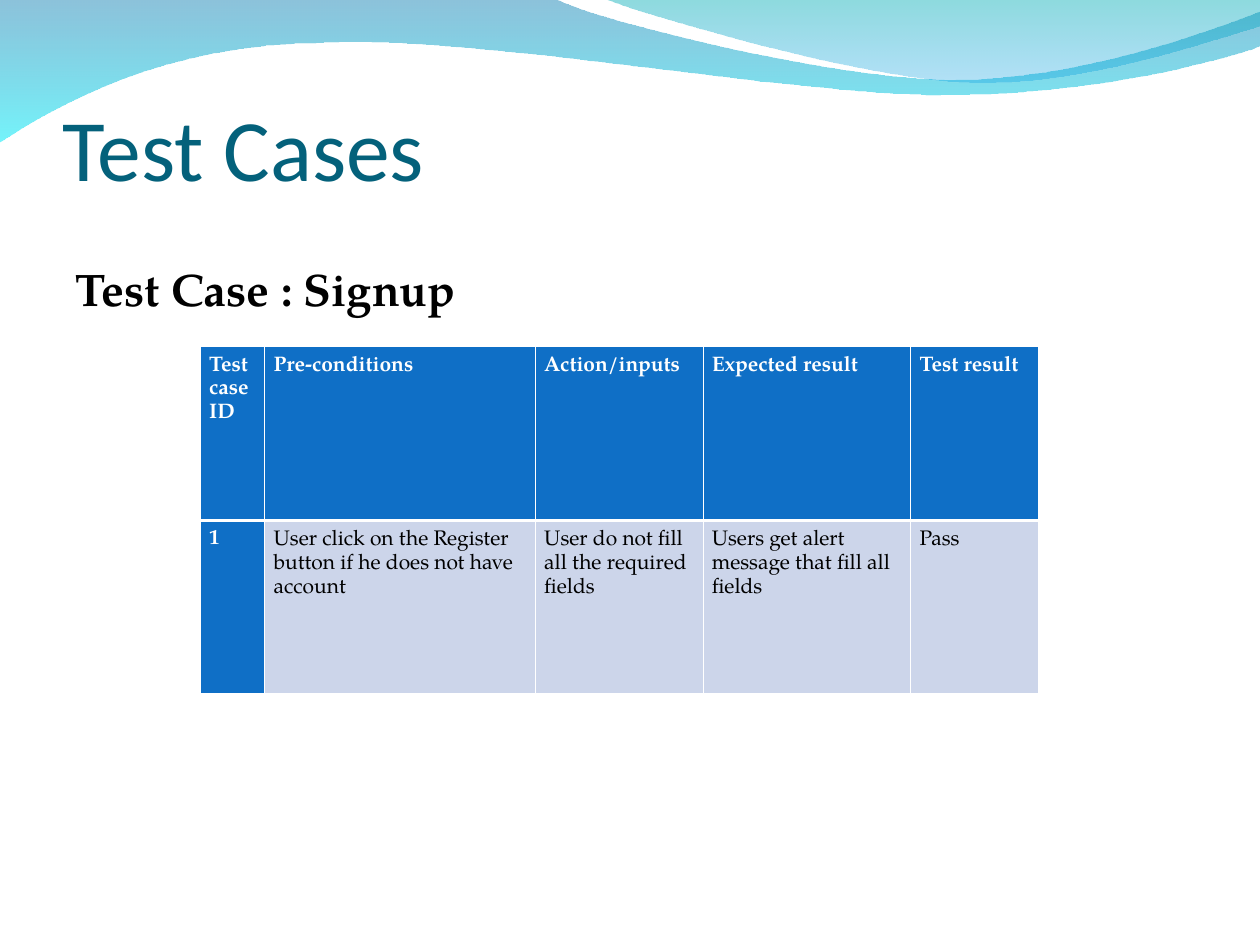
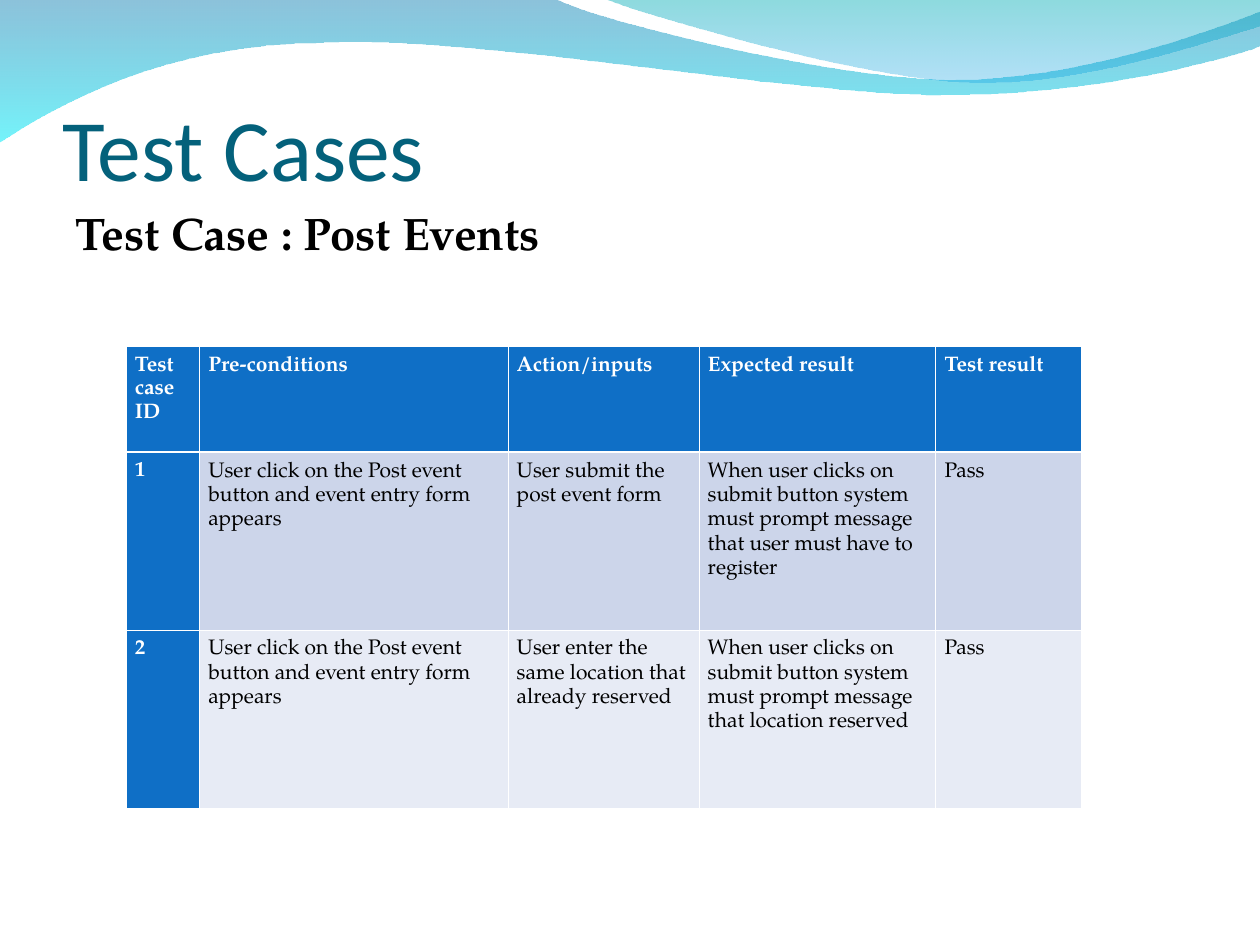
from lxml import etree
from pptx import Presentation
from pptx import util as u
from pptx.dml.color import RGBColor
from pptx.enum import text
from pptx.oxml import ns

HEADERS = ["Test\ncase\nID", "Pre-conditions", "Action/inputs", "Expected result", "Test result"]
COLUMN_SHARES = [0.077, 0.323, 0.2, 0.248, 0.152]
POST_EVENT_CONDITION = "User click on the Post event button and event entry form appears"
TEST_SLIDES = [
    {
        "heading": "Test Case : Signup", "heading_top": 2.02,
        "left": 1.59, "width": 6.65, "row_heights": [1.38, 1.37],
        "cases": [
            ["1", "User click on the Register button if he does not have account",
             "User do not fill all the required fields",
             "Users get alert message that fill all fields", "Pass"],
        ],
    },
    {
        "heading": "Test Case : Post Events", "heading_top": 1.58,
        "left": 1, "width": 7.58, "row_heights": [0.84, 1.41, 1.42],
        "cases": [
            ["1", POST_EVENT_CONDITION, "User submit the post event form",
             "When user clicks on submit button system must prompt message "
             "that user must have to register", "Pass"],
            ["2", POST_EVENT_CONDITION, "User enter the same location that already reserved",
             "When user clicks on submit button system must prompt message "
             "that location reserved", "Pass"],
        ],
    },
]
TITLE = "Test Cases"
TABLE_TOP = 2.75
CELL_INSET = 0.07
MARGIN, TEXT_WIDTH = 0.5, 9
THIN, THICK = 0.45, 1.47

COLORS = {
    "title": "04617B", "text": "000000", "white": "FFFFFF", "header": "0F6FC6",
    "band_dark": "CCD5EA", "band_light": "E7EBF5",
}
FORMATS = {
    "title": {"size": u.Pt(50), "name": "Calibri", "bold": False},
    "heading": {"size": u.Pt(26), "name": "TeX Gyre Pagella", "bold": True},
    "cell": {"size": u.Pt(12), "name": "TeX Gyre Pagella", "bold": False},
    "cell_header": {"size": u.Pt(12), "name": "TeX Gyre Pagella", "bold": True},
}
# Each step holds one point for a line, or three points for a Bézier curve.
# Each gradient stop holds a colour and its opacity in percent.
WAVES = [
    {
        "start": (0, -0.01),
        "steps": [
            [(4.4, -0.01)],
            [(4.76, 0.17), (6.64, 0.63), (7.58, 0.63)],
            [(8.53, 0.63), (9.58, 0.26), (10, 0.09)],
            [(10.01, 0.36)],
            [(9.83, 0.44), (8.7, 0.76), (7.46, 0.75)],
            [(6.22, 0.75), (3.82, 0.28), (2.57, 0.34)],
            [(1.29, 0.35), (0.46, 0.83), (-0.01, 1.13)],
        ],
        "gradient": [("0079AF", 45), ("00EBF8", 55)],
    },
    {
        "start": (4.79, -0.01),
        "steps": [
            [(5.09, 0.11), (6.82, 0.62), (7.69, 0.65)],
            [(8.56, 0.69), (9.61, 0.32), (10, 0.21)],
            [(10, 0)],
        ],
        "gradient": [("00ADB6", 45), ("009BE5", 30)],
    },
]


def rgb(name):
    return RGBColor.from_string(COLORS[name])


def apply_format(paragraph, style, color):
    for attribute, value in FORMATS[style].items():
        setattr(paragraph.font, attribute, value)
    paragraph.font.color.rgb = rgb(color)


def to_emu(point):
    return tuple(u.Inches(value) for value in point)


def bend_curves(shape, steps):
    """Merge the three line segments of each curve step into one Bézier segment."""
    segments = iter(list(shape.element.iter(ns.qn("a:lnTo"))))
    for step in steps:
        first, *others = [next(segments) for point in step]
        if others:
            first.tag = ns.qn("a:cubicBezTo")
        for segment in others:
            first.append(segment[0])
            segment.getparent().remove(segment)


def add_wave(slide, wave):
    builder = slide.shapes.build_freeform(*to_emu(wave["start"]), scale=1.0)
    builder.add_line_segments([to_emu(point) for step in wave["steps"] for point in step],
                              close=True)
    shape = builder.convert_to_shape()
    bend_curves(shape, wave["steps"])
    shape.shadow.inherit = False
    shape.line.fill.background()
    shape.fill.gradient()
    shape.fill.gradient_angle = 270
    for stop, (color, opacity) in zip(shape.fill.gradient_stops, wave["gradient"]):
        stop.color.rgb = RGBColor.from_string(color)
    for element, (color, opacity) in zip(shape.element.iter(ns.qn("a:srgbClr")), wave["gradient"]):
        etree.SubElement(element, ns.qn("a:alpha"), val=str(opacity * 1000))


def add_text(slide, content, style, color, top, height, insets, anchor):
    box = slide.shapes.add_textbox(*map(u.Inches, (MARGIN, top, TEXT_WIDTH, height)))
    frame = box.text_frame
    frame.word_wrap = True
    frame.vertical_anchor = anchor
    for side, inset in zip(("left", "top", "right", "bottom"), insets):
        setattr(frame, f"margin_{side}", u.Inches(inset))
    frame.text = content
    apply_format(frame.paragraphs[0], style, color)


def set_borders(cell, widths):
    """Draw white borders; widths are points for left, right, top and bottom."""
    properties = cell._tc.get_or_add_tcPr()
    for side, width in zip("LRTB", widths):
        line = etree.SubElement(properties, ns.qn(f"a:ln{side}"), w=str(u.Pt(width)))
        fill = etree.SubElement(line, ns.qn("a:solidFill"))
        etree.SubElement(fill, ns.qn("a:srgbClr"), val=COLORS["white"])


def fill_cell(cell, content, row, column):
    is_header = row == 0 or column == 0
    band = "band_dark" if row % 2 else "band_light"
    set_borders(cell, (THIN, THIN, THICK if row == 1 else THIN, THICK if row == 0 else THIN))
    cell.fill.solid()
    cell.fill.fore_color.rgb = rgb("header" if is_header else band)
    cell.margin_left = cell.margin_right = u.Inches(CELL_INSET)
    cell.text = content
    for paragraph in cell.text_frame.paragraphs:
        paragraph.line_spacing = 1.15
        apply_format(paragraph, "cell_header" if is_header else "cell",
                     "white" if is_header else "text")


def add_test_table(slide, test):
    rows = [HEADERS, *test["cases"]]
    size = (test["left"], TABLE_TOP, test["width"], sum(test["row_heights"]))
    table = slide.shapes.add_table(len(rows), len(HEADERS), *map(u.Inches, size)).table
    for column, share in zip(table.columns, COLUMN_SHARES):
        column.width = u.Inches(test["width"] * share)
    for row, height in zip(table.rows, test["row_heights"]):
        row.height = u.Inches(height)
    for row, contents in enumerate(rows):
        for column, content in enumerate(contents):
            fill_cell(table.cell(row, column), content, row, column)


def add_test_slide(presentation, test):
    slide = presentation.slides.add_slide(presentation.slide_layouts[6])
    for wave in WAVES:
        add_wave(slide, wave)
    add_text(slide, TITLE, "title", "title", 0.77, 0.81, (0, 0.05, 0, 0), text.MSO_ANCHOR.BOTTOM)
    add_text(slide, test["heading"], "heading", "text", test["heading_top"], 0.5,
             (0.1, 0.05, 0.1, 0.05), text.MSO_ANCHOR.TOP)
    add_test_table(slide, test)


def main():
    presentation = Presentation()
    presentation.slide_width, presentation.slide_height = u.Inches(10), u.Inches(7.5)
    for test in TEST_SLIDES:
        add_test_slide(presentation, test)
    presentation.save("out.pptx")


if __name__ == "__main__":
    main()
